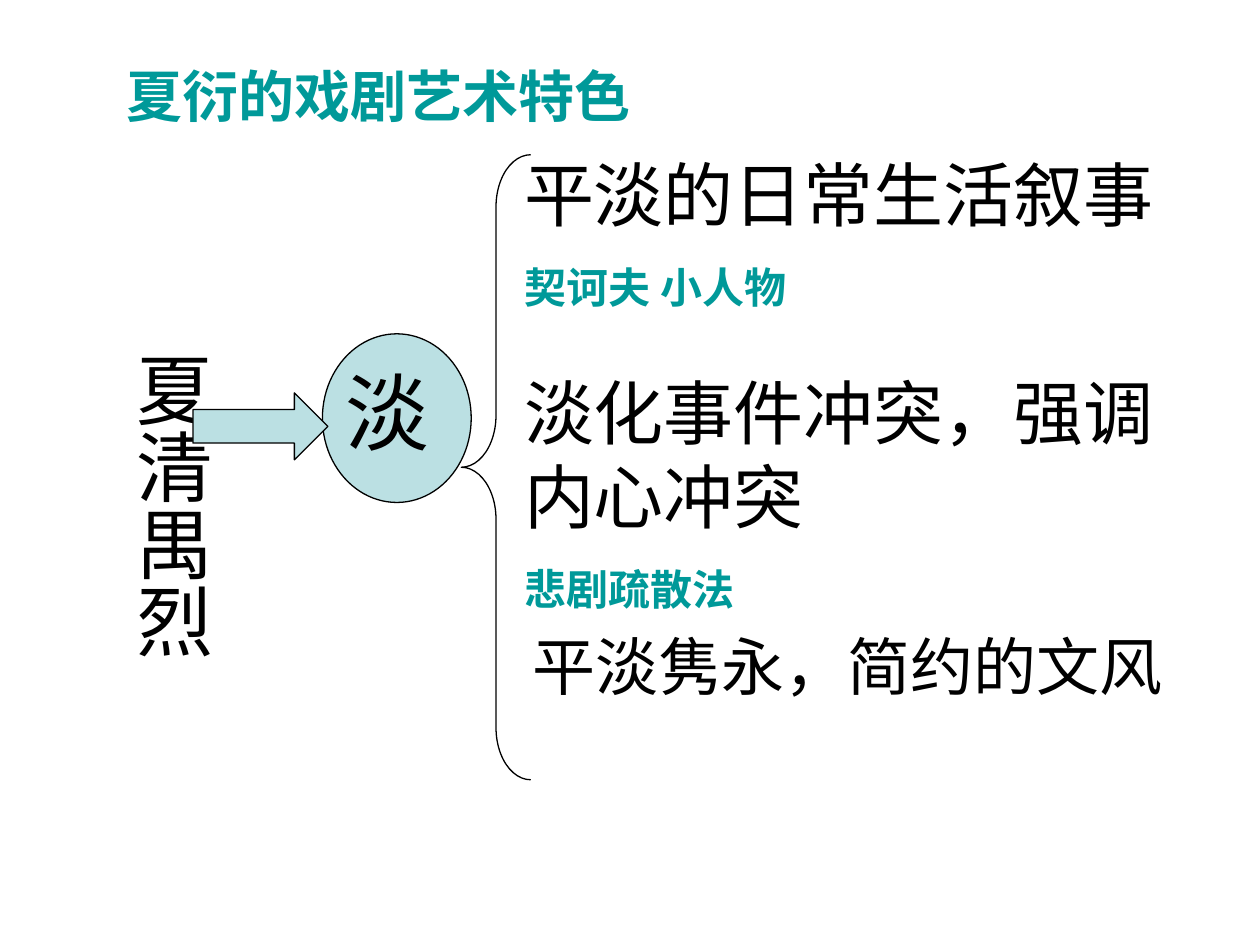
import pptx
import pptx.dml.color
import pptx.enum.shapes
import pptx.enum.text
import pptx.oxml
import pptx.oxml.ns
import pptx.util

Cm = pptx.util.Cm
Pt = pptx.util.Pt
SHAPE = pptx.enum.shapes.MSO_SHAPE


def color(hex_string):
    return pptx.dml.color.RGBColor.from_string(hex_string)


class SlideBuilder:
    font = "Lato"
    ink = "000000"
    accent = "009999"
    fill = "BBE0E3"

    def __init__(self, slide):
        self.slide = slide

    def style(self, paragraph, size, accent=False):
        paragraph.alignment = pptx.enum.text.PP_ALIGN.LEFT
        paragraph.line_spacing = 1
        paragraph.space_before = Pt(0)
        for run in paragraph.runs:
            run.font.size = Pt(size)
            run.font.bold = accent
            run.font.name = self.font
            run.font.color.rgb = color(self.accent if accent else self.ink)
            east_asian = pptx.oxml.parse_xml(
                f'<a:ea {pptx.oxml.ns.nsdecls("a")} typeface="{self.font}"/>')
            run.font._element.find(pptx.oxml.ns.qn("a:latin")).addnext(east_asian)

    def frame(self, shape, box):
        """Place a text shape and return its frame, anchored at the top."""
        shape.left, shape.top, shape.width, shape.height = map(Cm, box)
        frame = shape.text_frame
        frame.word_wrap = True
        frame.auto_size = pptx.enum.text.MSO_AUTO_SIZE.NONE
        frame.vertical_anchor = pptx.enum.text.MSO_ANCHOR.TOP
        return frame

    def title(self, text, box):
        frame = self.frame(self.slide.shapes.title, box)
        frame.text = text
        self.style(frame.paragraphs[0], 32, accent=True)

    def point(self, index, heading, note, box):
        """Fill a body placeholder with a heading and an accented note."""
        frame = self.frame(self.slide.placeholders[index], box)
        frame.text = f"{heading}\n{note}"
        for paragraph in frame.paragraphs:
            properties = paragraph._p.get_or_add_pPr()
            properties.set("marL", "0")
            properties.set("indent", "0")
            properties.append(pptx.oxml.parse_xml(
                f'<a:buNone {pptx.oxml.ns.nsdecls("a")}/>'))
        self.style(frame.paragraphs[0], 40)
        self.style(frame.paragraphs[1], 24, accent=True)
        frame.paragraphs[1].space_before = Pt(15)

    def text(self, text, size, box):
        frame = self.frame(self.slide.shapes.add_textbox(*map(Cm, box)), box)
        frame.text = text
        self.style(frame.paragraphs[0], size)
        return frame

    def vertical_text(self, text, size, box, top_inset):
        frame = self.text(text, size, box)
        frame._txBody.bodyPr.set("vert", "eaVert")
        frame.margin_left = frame.margin_right = Cm(0.13)
        frame.margin_top, frame.margin_bottom = Cm(top_inset), Cm(0.25)

    def shape(self, kind, box, filled=True, adjustments=()):
        shape = self.slide.shapes.add_shape(kind, *map(Cm, box))
        shape.shadow.inherit = False
        if filled:
            shape.fill.solid()
            shape.fill.fore_color.rgb = color(self.fill)
        else:
            shape.fill.background()
        shape.line.color.rgb = color(self.ink)
        shape.line.width = Pt(0.75)
        for index, value in enumerate(adjustments):
            shape.adjustments[index] = value


def main():
    deck = pptx.Presentation()
    deck.slide_width, deck.slide_height = Cm(25.4), Cm(19.05)
    two_content = deck.slide_layouts[3]
    builder = SlideBuilder(deck.slides.add_slide(two_content))

    builder.title("夏衍的戏剧艺术特色", (2.29, 1.12, 17.4, 1.63))
    builder.point(1, "平淡的日常生活叙事", "契诃夫 小人物", (10.31, 2.92, 14.6, 3.5))
    builder.point(2, "淡化事件冲突，强调内心冲突", "悲剧疏散法", (10.31, 7.32, 14.2, 5.18))

    builder.vertical_text("夏清禺烈", 44, (2.18, 4.32, 2.36, 11.2), top_inset=2.78)
    builder.shape(SHAPE.OVAL, (6.5, 6.73, 3, 3.4))
    builder.text("淡", 48, (6.71, 7.14, 2.79, 2.29))
    builder.shape(SHAPE.RIGHT_ARROW, (3.89, 7.92, 2.72, 1.35), adjustments=(0.5, 0.5))
    builder.shape(SHAPE.LEFT_BRACE, (9.3, 3.12, 1.4, 12.6), filled=False,
                  adjustments=(0.75, 0.5))
    builder.text("平淡隽永，简约的文风", 36, (10.49, 12.52, 14.91, 1.78))

    deck.save("out.pptx")


if __name__ == "__main__":
    main()
